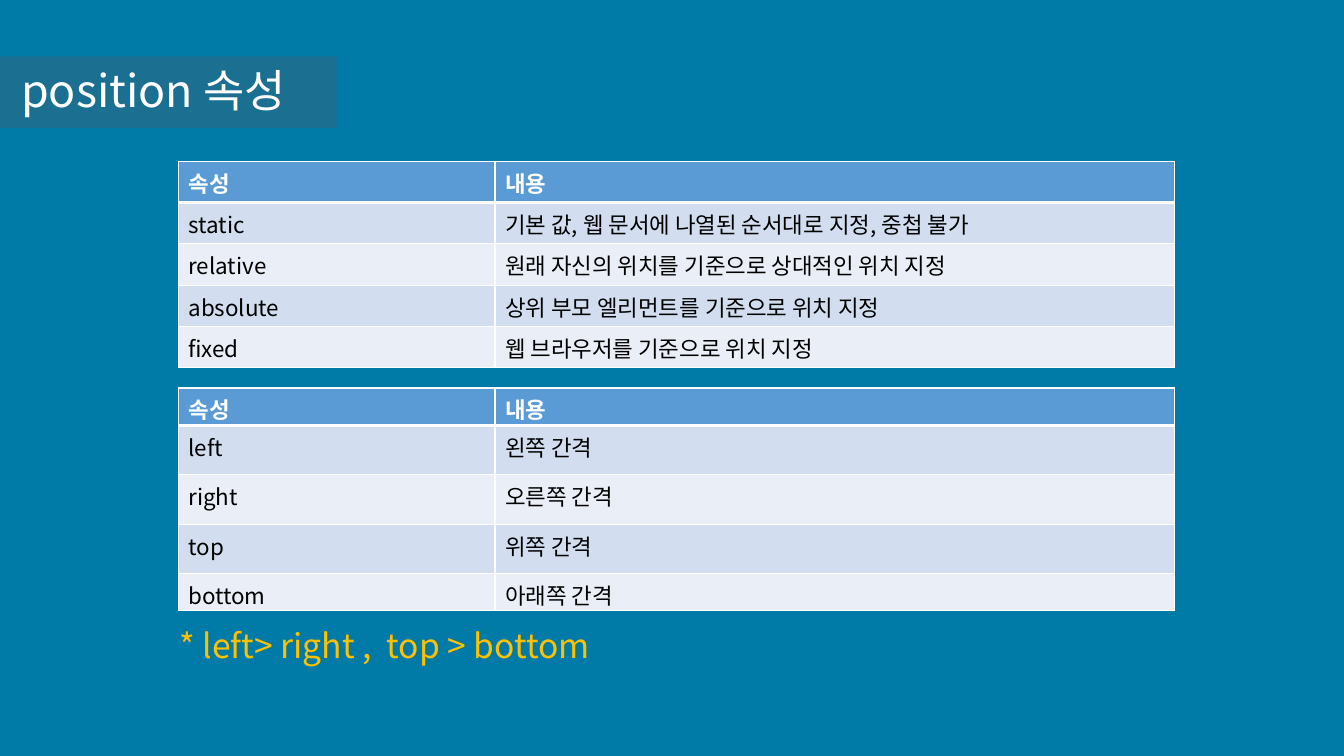
from lxml.etree import SubElement as Sub
from pptx import Presentation
from pptx.dml.color import RGBColor as Rgb
from pptx.enum.shapes import MSO_SHAPE as Shape
from pptx.enum.text import MSO_ANCHOR as Anchor, PP_ALIGN as Align
from pptx.oxml import parse_xml
from pptx.oxml.ns import nsdecls, qn
from pptx.util import Inches, Pt

HUES = {
    "back": "007BA7", "band": "615758", "head": "5B9BD5", "odd": "D2DEEF",
    "even": "EAEFF7", "white": "FFFFFF", "black": "000000", "gold": "FFC000",
}
KINDS = [
    ("속성", "내용"),
    ("static", "기본 값, 웹 문서에 나열된 순서대로 지정, 중첩 불가"),
    ("relative", "원래 자신의 위치를 기준으로 상대적인 위치 지정"),
    ("absolute", "상위 부모 엘리먼트를 기준으로 위치 지정"),
    ("fixed", "웹 브라우저를 기준으로 위치 지정"),
]
SIDES = [
    ("속성", "내용"),
    ("left", "왼쪽 간격"),
    ("right", "오른쪽 간격"),
    ("top", "위쪽 간격"),
    ("bottom", "아래쪽 간격"),
]


class Deck:
    """Holds the style and the current slide."""

    face = "Noto Sans CJK KR"

    def __init__(self):
        self.show = Presentation()
        self.show.slide_width = Inches(13.33)
        self.show.slide_height = Inches(7.5)
        self.slide = self.show.slides.add_slide(self.show.slide_layouts[5])
        self.paint(self.slide.background.fill, "back")

    def paint(self, fill, hue):
        fill.solid()
        fill.fore_color.rgb = Rgb.from_string(HUES[hue])

    def style(self, frame, size, hue, bold=False, glow=False):
        para = frame.paragraphs[0]
        para.alignment = Align.LEFT
        for run in para.runs:
            font = run.font
            font.size, font.bold, font.name = Pt(size), bold, self.face
            font.color.rgb = Rgb.from_string(HUES[hue])
            props = run._r.get_or_add_rPr()
            Sub(props, qn("a:ea"), typeface=self.face)
            if glow:
                props.find(qn("a:solidFill")).addnext(parse_xml(
                    f'<a:effectLst {nsdecls("a")}><a:outerShdw blurRad="38100" '
                    'dist="38100" dir="2700000" algn="tl"><a:srgbClr val="000000">'
                    '<a:alpha val="43000"/></a:srgbClr></a:outerShdw></a:effectLst>'))

    def band(self, *box):
        bar = self.slide.shapes.add_shape(Shape.RECTANGLE, *map(Inches, box))
        bar.shadow.inherit = False
        self.paint(bar.fill, "band")
        bar.line.fill.background()
        tint = bar.fill._xPr.find(qn("a:solidFill"))[0]
        Sub(tint, qn("a:alpha"), val="28000")

    def title(self, text, *box):
        head = self.slide.shapes.title
        head.left, head.top, head.width, head.height = map(Inches, box)
        tree = self.slide.shapes._spTree
        tree.append(head._element)
        self.fill(head.text_frame, text, 32, "white")

    def note(self, text, *box):
        area = self.slide.shapes.add_textbox(*map(Inches, box))
        self.fill(area.text_frame, text, 24, "gold")

    def fill(self, frame, text, size, hue):
        frame.text = text
        frame.word_wrap = True
        frame.vertical_anchor = Anchor.TOP
        self.style(frame, size, hue, glow=True)

    def edge(self, cell, row):
        wide = {0: "lnB", 1: "lnT"}.get(row)
        props = cell._tc.get_or_add_tcPr()
        for spot, side in enumerate(("lnL", "lnR", "lnT", "lnB")):
            width = Pt(3 if side == wide else 1)
            props.insert(spot, parse_xml(
                f'<a:{side} {nsdecls("a")} w="{width}"><a:solidFill>'
                f'<a:srgbClr val="{HUES["white"]}"/></a:solidFill></a:{side}>'))

    def table(self, data, top, highs):
        cols = (3.14, 6.74)
        box = map(Inches, (1.77, top, sum(cols), sum(highs)))
        grid = self.slide.shapes.add_table(len(data), len(cols), *box).table
        for col, wide in zip(grid.columns, cols):
            col.width = Inches(wide)
        for row, (texts, high) in enumerate(zip(data, highs)):
            grid.rows[row].height = Inches(high)
            hue = "head" if row == 0 else "odd" if row % 2 else "even"
            for col, text in enumerate(texts):
                cell = grid.cell(row, col)
                cell.text_frame.text = text
                cell.margin_bottom = 0
                self.paint(cell.fill, hue)
                self.edge(cell, row)
                ink = "black" if row else "white"
                self.style(cell.text_frame, 16, ink, bold=row == 0)


def main():
    deck = Deck()
    deck.band(0, 0.56, 3.34, 0.71)
    deck.title("position 속성", 0.11, 0.57, 3.96, 0.64)
    deck.table(KINDS, 1.6, [0.41] * 5)
    deck.table(SIDES, 3.85, [0.37, 0.49, 0.49, 0.49, 0.37])
    deck.note("* left> right ,  top > bottom", 1.68, 6.15, 10.01, 0.5)
    deck.show.save("out.pptx")


if __name__ == "__main__":
    main()
